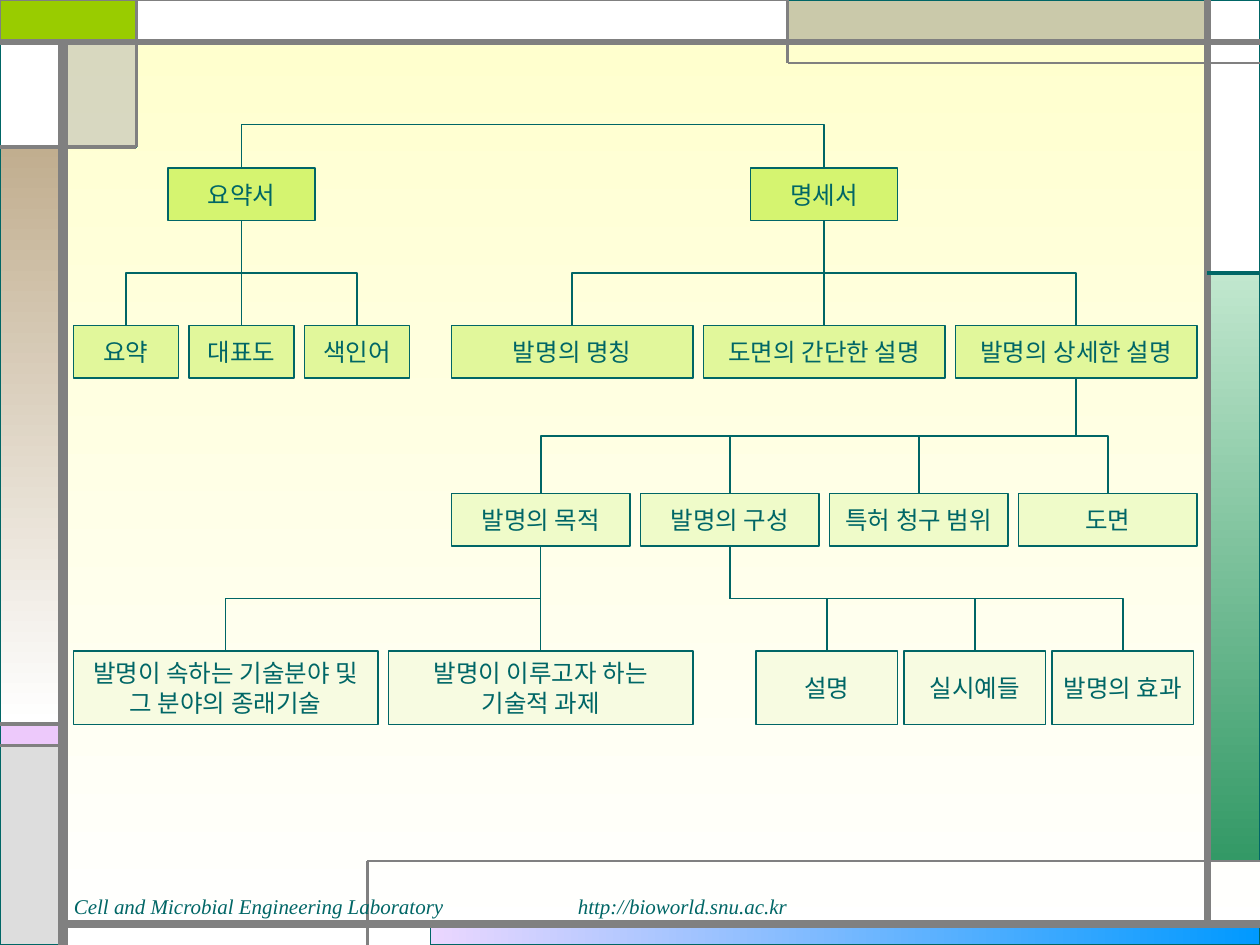
from typing import NamedTuple

from lxml import etree
from pptx import Presentation
from pptx.dml.color import RGBColor
from pptx.enum.shapes import MSO_CONNECTOR, MSO_SHAPE
from pptx.enum.text import MSO_ANCHOR, PP_ALIGN
from pptx.oxml.ns import qn
from pptx.util import Cm, Pt

RECT = MSO_SHAPE.RECTANGLE
STRAIGHT, ELBOW = MSO_CONNECTOR.STRAIGHT, MSO_CONNECTOR.ELBOW
MIDDLE, CENTER = MSO_ANCHOR.MIDDLE, PP_ALIGN.CENTER
TOP, BOTTOM = 0, 2
DOWN, RIGHTWARD = 270, 0
FONT = "Times New Roman"
TEAL, GRAY = "006666", "808080"


class Panel(NamedTuple):
    x: float
    y: float
    w: float
    h: float
    fill: str
    fill_end: str = ""
    angle: int = DOWN
    line: str = TEAL
    weight: float = 0.75


class Rule(NamedTuple):
    x1: float
    y1: float
    x2: float
    y2: float
    weight: float
    color: str = GRAY


class BoxRow(NamedTuple):
    x: float
    y: float
    w: float
    h: float
    pitch: float
    fill: str
    labels: tuple[str, ...]


class Branch(NamedTuple):
    parent: str
    children: tuple[str, ...]
    weight: float = 1


# Positions are in grid units of a twelfth of an inch.
PANELS = [
    Panel(41, 88, 79, 2, "EBD7FF", "0099FF", RIGHTWARD),
    Panel(115, 26, 5, 56, "C1E7CE", "339966"),
    Panel(0, 69, 6, 2, "EDC9FB"),
    Panel(0, 71, 6, 19, "DDDDDD"),
    Panel(115, 0, 5, 26, "FFFFFF"),
    Panel(75, 0, 40, 4, "CAC9AA"),
    Panel(6, 4, 7, 10, "B2B2B280"),
    Panel(0, 14, 6, 55, "C1AE8F", "FFFFFF"),
    Panel(0, 4, 6, 10, "FFFFFF"),
    Panel(0, 0, 13, 4, "99CC00", line=GRAY, weight=1.5),
    Panel(13, 0, 62, 4, "FFFFFF", line=GRAY),
]
RULES = [
    Rule(6, 90, 6, 4, 6),
    Rule(6, 88, 120, 88, 4.5),
    Rule(115, 88, 115, 0, 4.5),
    Rule(0, 4, 120, 4, 3),
    Rule(120, 6, 75, 6, 1.5),
    Rule(75, 6, 75, 0, 1.5),
    Rule(115, 26, 120, 26, 2.25, TEAL),
    Rule(13, 0, 13, 14, 1.5),
    Rule(13, 14, 0, 14, 2.25),
    Rule(35, 90, 35, 82, 1.5),
    Rule(35, 82, 120, 82, 1.5),
    Rule(6, 69, 0, 69, 2.25),
    Rule(6, 71, 0, 71, 2.25),
]
ABSTRACT, SPEC = "요약서", "명세서"
ABSTRACT_PARTS = ("요약", "대표도", "색인어")
SPEC_PARTS = ("발명의 명칭", "도면의 간단한 설명", "발명의 상세한 설명")
DETAILS = ("발명의 목적", "발명의 구성", "특허 청구 범위", "도면")
PURPOSES = ("발명이 속하는 기술분야 및\n그 분야의 종래기술", "발명이 이루고자 하는\n기술적 과제")
COMPOSITION = ("설명", "실시예들", "발명의 효과")
BOX_ROWS = [
    BoxRow(16, 16, 14, 5, 55.5, "D5F470", (ABSTRACT, SPEC)),
    BoxRow(7, 31, 10, 5, 11, "E1F79B", ABSTRACT_PARTS),
    BoxRow(43, 31, 23, 5, 24, "E1F79B", SPEC_PARTS),
    BoxRow(43, 47, 17, 5, 18, "EFFBC9", DETAILS),
    BoxRow(7, 62, 29, 7, 30, "F7FBE1", PURPOSES),
    BoxRow(72, 62, 13.5, 7, 14.1, "F7FBE1", COMPOSITION),
]
BRANCHES = [
    Branch(ABSTRACT, ABSTRACT_PARTS),
    Branch(SPEC, SPEC_PARTS),
    Branch(SPEC_PARTS[2], DETAILS),
    Branch(DETAILS[1], COMPOSITION),
    Branch(DETAILS[0], PURPOSES, 0.75),
]


def grid(n: float) -> int:
    return Cm(n * 2.54 / 12)


def rgb(color: str) -> RGBColor:
    return RGBColor.from_string(color[:6])


def fill_gradient(fill, start: str, end: str, angle: int) -> None:
    fill.gradient()
    fill.gradient_angle = angle
    for stop, color in zip(fill.gradient_stops, (start, end)):
        stop.color.rgb = rgb(color)


def set_line(line, color: str, weight: float) -> None:
    line.color.rgb = rgb(color)
    line.width = Pt(weight)


def add_panel(s, panel: Panel):
    """Draw a rectangle; a fill of eight digits ends in its alpha."""
    sp = s.shapes.add_shape(RECT, *map(grid, panel[:4]))
    sp.shadow.inherit = False
    if panel.fill_end:
        fill_gradient(sp.fill, panel.fill, panel.fill_end, panel.angle)
    else:
        sp.fill.solid()
        sp.fill.fore_color.rgb = rgb(panel.fill)
    if len(panel.fill) == 8:
        clr = sp._element.spPr.find(qn("a:solidFill"))[0]
        alpha = round(int(panel.fill[6:], 16) / 255, 2)
        etree.SubElement(clr, qn("a:alpha"), val=str(int(alpha * 100000)))
    set_line(sp.line, panel.line, panel.weight)
    return sp


def add_line(s, kind, ends, color: str, weight: float):
    cxn = s.shapes.add_connector(kind, *ends)
    set_line(cxn.line, color, weight)
    etree.SubElement(cxn._element.spPr, qn("a:effectLst"))
    return cxn


def format_text(tf, size: float, italic: bool = False) -> None:
    for p in tf.paragraphs:
        for r in p.runs:
            r.font.name, r.font.size = FONT, Pt(size)
            r.font.italic = italic
            r.font.color.rgb = rgb(TEAL)


def add_box_row(s, row: BoxRow) -> dict:
    boxes = {}
    for i, label in enumerate(row.labels):
        sp = add_panel(s, Panel(row.x + i * row.pitch, row.y, row.w, row.h, row.fill))
        tf = sp.text_frame
        tf.text, tf.word_wrap, tf.vertical_anchor = label, False, MIDDLE
        for p in tf.paragraphs:
            p.alignment = CENTER
        format_text(tf, 14)
        boxes[label] = sp
    return boxes


def join(s, start, end, site: int, weight: float, bend: float = 0.5) -> None:
    """Join two boxes by a line that leaves the first one vertically."""
    x1, x2 = start.left + start.width // 2, end.left + end.width // 2
    y1, y2 = start.top + (start.height if site == BOTTOM else 0), end.top
    straight = abs(x2 - x1) < Pt(1)
    cxn = add_line(s, STRAIGHT if straight else ELBOW, (x1, y1, x2, y2), TEAL, weight)
    cxn.begin_connect(start, site)
    cxn.end_connect(end, TOP)
    if straight:
        return
    # An elbow runs sideways first, so its frame is turned a quarter.
    drop, span = max(y2 - y1, Cm(0.01)), abs(x2 - x1)
    cxn.left, cxn.top = (x1 + x2 - drop) // 2, (y1 + y2 - span) // 2
    cxn.width, cxn.height = drop, span
    xfrm = cxn._element.spPr.find(qn("a:xfrm"))
    xfrm.set("rot", str((90 if x2 < x1 else 270) * 60000))
    xfrm.set("flipH", "0" if x2 < x1 else "1")
    guides = cxn._element.spPr.find(qn("a:prstGeom")).find(qn("a:avLst"))
    etree.SubElement(guides, qn("a:gd"), name="adj1", fmla=f"val {int(bend * 100000)}")


def add_footer(s) -> None:
    tf = s.shapes.add_textbox(Cm(1.24), Cm(17.88), Cm(16), Cm(1.27)).text_frame
    tf.word_wrap = True
    p = tf.paragraphs[0]
    tabs = etree.SubElement(p._p.get_or_add_pPr(), qn("a:tabLst"))
    for stop in (Cm(7.62), Cm(10.16)):
        etree.SubElement(tabs, qn("a:tab"), pos=str(stop), algn="l")
    p.text = "Cell and Microbial Engineering Laboratory\t\thttp://bioworld.snu.ac.kr"
    format_text(tf, 12, italic=True)


def main() -> None:
    prs = Presentation()
    prs.slide_width, prs.slide_height = Cm(25.4), Cm(19.05)
    s = prs.slides.add_slide(prs.slide_layouts[6])
    fill_gradient(s.background.fill, "FFFFCC", "FFFFFF", DOWN)
    for panel in PANELS:
        add_panel(s, panel)
    for rule in RULES:
        add_line(s, STRAIGHT, map(grid, rule[:4]), rule.color, rule.weight)
    add_footer(s)
    boxes = {}
    for row in BOX_ROWS:
        boxes.update(add_box_row(s, row))
    join(s, boxes[ABSTRACT], boxes[SPEC], TOP, 1, bend=-87)
    for branch in BRANCHES:
        for child in branch.children:
            join(s, boxes[branch.parent], boxes[child], BOTTOM, branch.weight)
    prs.save("out.pptx")


if __name__ == "__main__":
    main()
